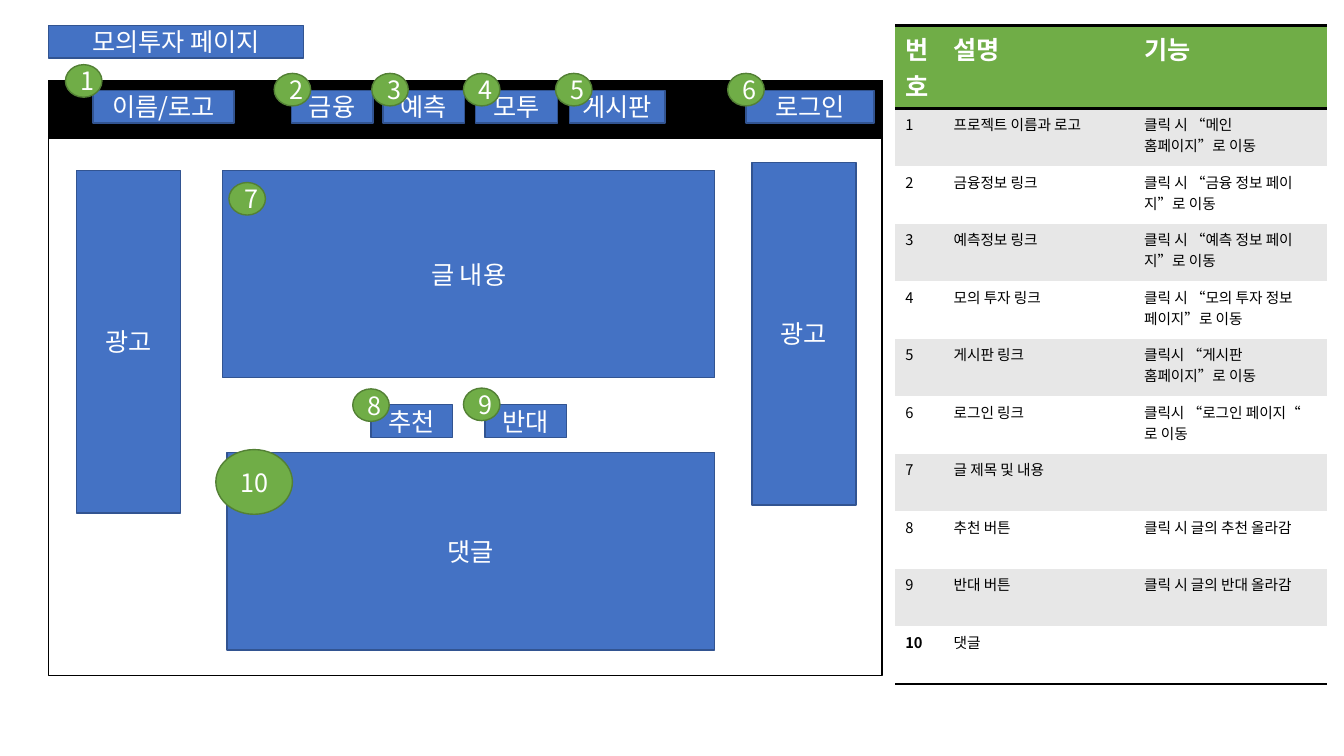
from lxml import etree
from pptx import Presentation, util as u
from pptx.dml.color import RGBColor
from pptx.enum import shapes, text
from pptx.oxml import ns

COLORS = {
    "white": "FFFFFF", "black": "000000", "band": "E7E7E7",
    "blue": "4472C4", "blue_edge": "325491",
    "green": "70AD47", "green_edge": "538035",
}
FONT = "Noto Sans CJK KR"
PLAIN_TABLE = "{2D5ABB26-0587-4C30-8999-92F81FD0307C}"
BUTTON_H = 0.82


def rgb(name):
    return RGBColor.from_string(COLORS[name])


class Wireframe:
    """Holds the style and the current slide; lengths are in centimetres."""

    label = {"size": u.Pt(18), "bold": False}
    body = {"size": u.Pt(10.5), "bold": False}

    def __init__(self, slide):
        self.slide = slide

    def set_words(self, frame, words, style, color, align=text.PP_ALIGN.LEFT):
        frame.text = words
        for paragraph in frame.paragraphs:
            paragraph.alignment = align
            for run in paragraph.runs:
                for key, value in {**style, "name": FONT}.items():
                    setattr(run.font, key, value)
                run.font.color.rgb = rgb(color)
                east_asian = etree.Element(ns.qn("a:ea"), typeface=FONT)
                run.font._element.find(ns.qn("a:latin")).addnext(east_asian)

    def paint(self, shape, fill, edge, words):
        shape.fill.solid()
        shape.fill.fore_color.rgb = rgb(fill)
        shape.line.color.rgb = rgb(edge)
        shape.line.width = u.Pt(1)
        if words:
            self.set_words(shape.text_frame, words, self.label, "white",
                           text.PP_ALIGN.CENTER)

    def title(self, words, left, top, width, height):
        title = self.slide.shapes.title
        place = {"left": left, "top": top, "width": width, "height": height}
        for key, value in place.items():
            setattr(title, key, u.Cm(value))
        frame_format = {"auto_size": text.MSO_AUTO_SIZE.NONE, "word_wrap": True,
                        "vertical_anchor": text.MSO_ANCHOR.MIDDLE}
        for key, value in frame_format.items():
            setattr(title.text_frame, key, value)
        self.paint(title, "blue", "blue_edge", words)

    def box(self, words, left, top, width, height=BUTTON_H, fill="blue",
            edge="blue_edge", kind=shapes.MSO_SHAPE.RECTANGLE):
        shape = self.slide.shapes.add_shape(
            kind, u.Cm(left), u.Cm(top), u.Cm(width), u.Cm(height))
        shape.shadow.inherit = False
        self.paint(shape, fill, edge, words)

    def badge(self, number, left, top, width=0.92, height=BUTTON_H):
        self.box(str(number), left, top, width, height, "green", "green_edge",
                 shapes.MSO_SHAPE.OVAL)

    def rule(self, cell, sides):
        for position, side in enumerate(sides):
            line = etree.Element(ns.qn(f"a:ln{side}"), w=str(u.Pt(2)))
            fill = etree.SubElement(line, ns.qn("a:solidFill"))
            etree.SubElement(fill, ns.qn("a:srgbClr"), val=COLORS["black"])
            cell._tc.get_or_add_tcPr().insert(position, line)

    def table(self, rows, left, top, widths, head_height, row_height):
        heights = [head_height] + [row_height] * (len(rows) - 1)
        table = self.slide.shapes.add_table(
            len(rows), len(widths), u.Cm(left), u.Cm(top),
            u.Cm(sum(widths)), u.Cm(sum(heights))).table
        table.horz_banding = False
        table._tbl.tblPr.find(ns.qn("a:tableStyleId")).text = PLAIN_TABLE
        for column, width in zip(table.columns, widths):
            column.width = u.Cm(width)
        last = len(rows) - 1
        for r, (row, height) in enumerate(zip(rows, heights)):
            table.rows[r].height = u.Cm(height)
            head = r == 0
            fill = "green" if head else "band" if r % 2 else "white"
            for c, words in enumerate(row):
                cell = table.cell(r, c)
                cell.fill.solid()
                cell.fill.fore_color.rgb = rgb(fill)
                style = dict(self.label if head else self.body)
                style["bold"] = head or (r == last and c == 0)
                self.set_words(cell.text_frame, words, style,
                               "white" if head else "black")
                self.rule(cell, "TB" if head else "B" if r == last else "")


presentation = Presentation()
presentation.slide_width, presentation.slide_height = u.Cm(33.87), u.Cm(19.05)
page = Wireframe(presentation.slides.add_slide(presentation.slide_layouts[5]))

# Page name
page.title("모의투자 페이지", 1.22, 0.64, 6.43, BUTTON_H)

# Browser frame and navigation bar
for frame_height, frame_fill in ((14.99, "white"), (1.45, "black")):
    page.box("", 1.22, 2.03, 21.01, frame_height, frame_fill, "black")
menu = [("이름/로고", 2.34, 3.56), ("금융", 7.34, 2.06), ("예측", 9.65, 2.06),
        ("모투", 11.99, 2.06), ("게시판", 14.35, 2.41), ("로그인", 18.8, 3.23)]
for menu_label, menu_left, menu_width in menu:
    page.box(menu_label, menu_left, 2.28, menu_width)

# Advertisements, post, votes and comments
for ad_left, ad_top in ((1.93, 4.29), (18.95, 4.09)):
    page.box("광고", ad_left, ad_top, 2.62, 8.64)
page.box("글 내용", 5.61, 4.29, 12.4, 5.23)
page.box("댓글", 5.72, 11.4, 12.29, 4.98)
for vote, vote_left in (("추천", 9.35), ("반대", 12.22)):
    page.box(vote, vote_left, 10.2, 2.06)

# Number badges
badge_places = [(1.65, 1.63), (6.91, 1.85), (9.37, 1.85), (11.68, 1.85),
                (14, 1.85), (18.34, 1.85), (5.77, 4.6), (8.89, 9.8),
                (11.68, 9.78), (5.44, 11.33, 1.93, 1.63)]
for number, badge_place in enumerate(badge_places, 1):
    page.badge(number, *badge_place)

# Description of the numbered parts
functions = [
    ("프로젝트 이름과 로고", "클릭 시 “메인 홈페이지”로 이동"),
    ("금융정보 링크", "클릭 시 “금융 정보 페이지”로 이동"),
    ("예측정보 링크", "클릭 시 “예측 정보 페이지”로 이동"),
    ("모의 투자 링크", "클릭 시 “모의 투자 정보 페이지”로 이동"),
    ("게시판 링크", "클릭시 “게시판 홈페이지”로 이동"),
    ("로그인 링크", "클릭시 “로그인 페이지“\n로 이동"),
    ("글 제목 및 내용", ""),
    ("추천 버튼", "클릭 시 글의 추천 올라감"),
    ("반대 버튼", "클릭 시 글의 반대 올라감"),
    ("댓글", ""),
]
numbered = [(str(n), *row) for n, row in enumerate(functions, 1)]
page.table([("번호", "설명", "기능"), *numbered],
           22.56, 0.64, (1.22, 4.8, 4.85), 1.68, 1.45)

presentation.save("out.pptx")
